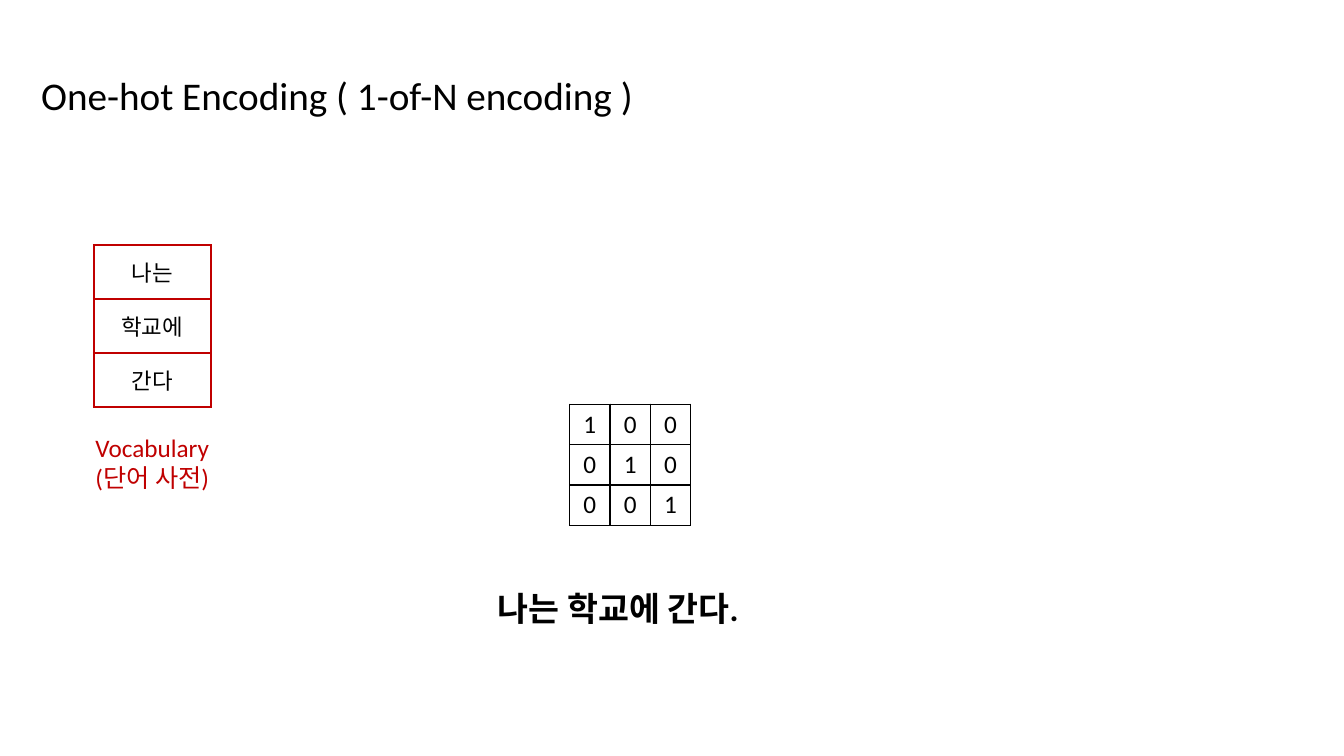
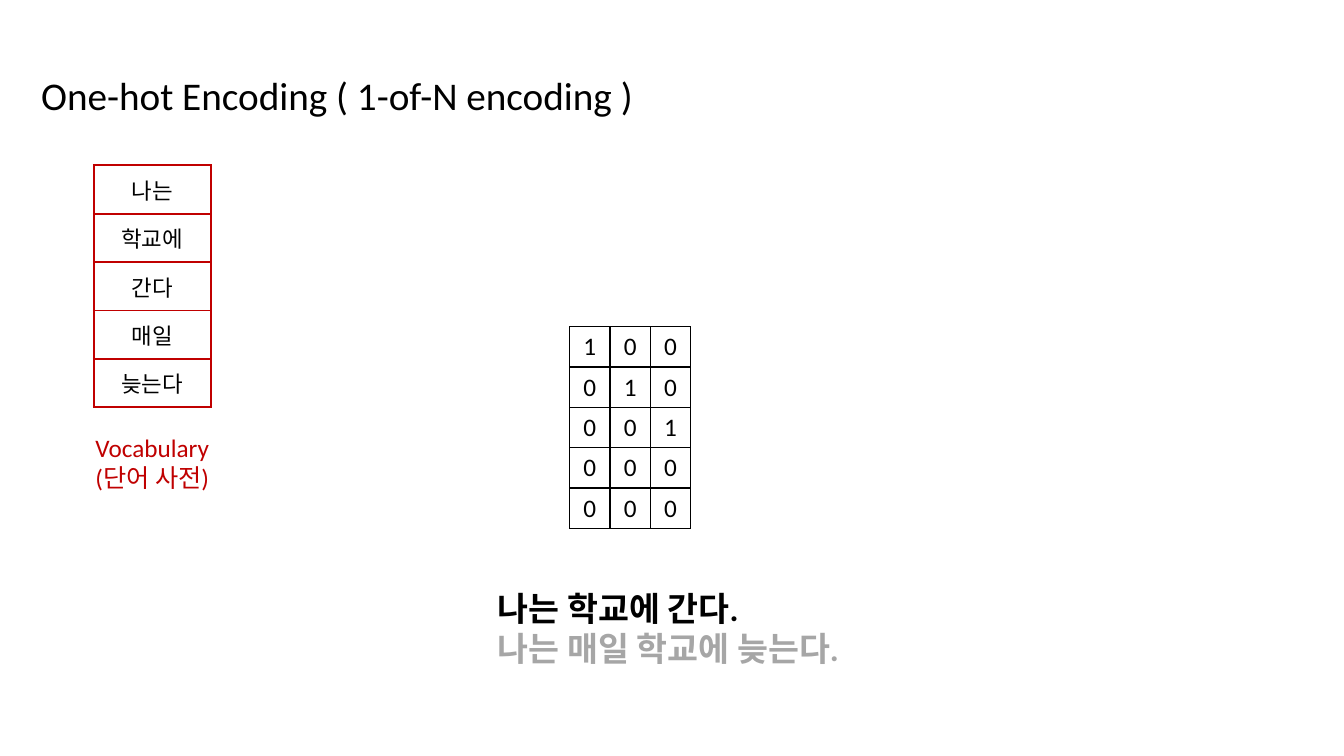
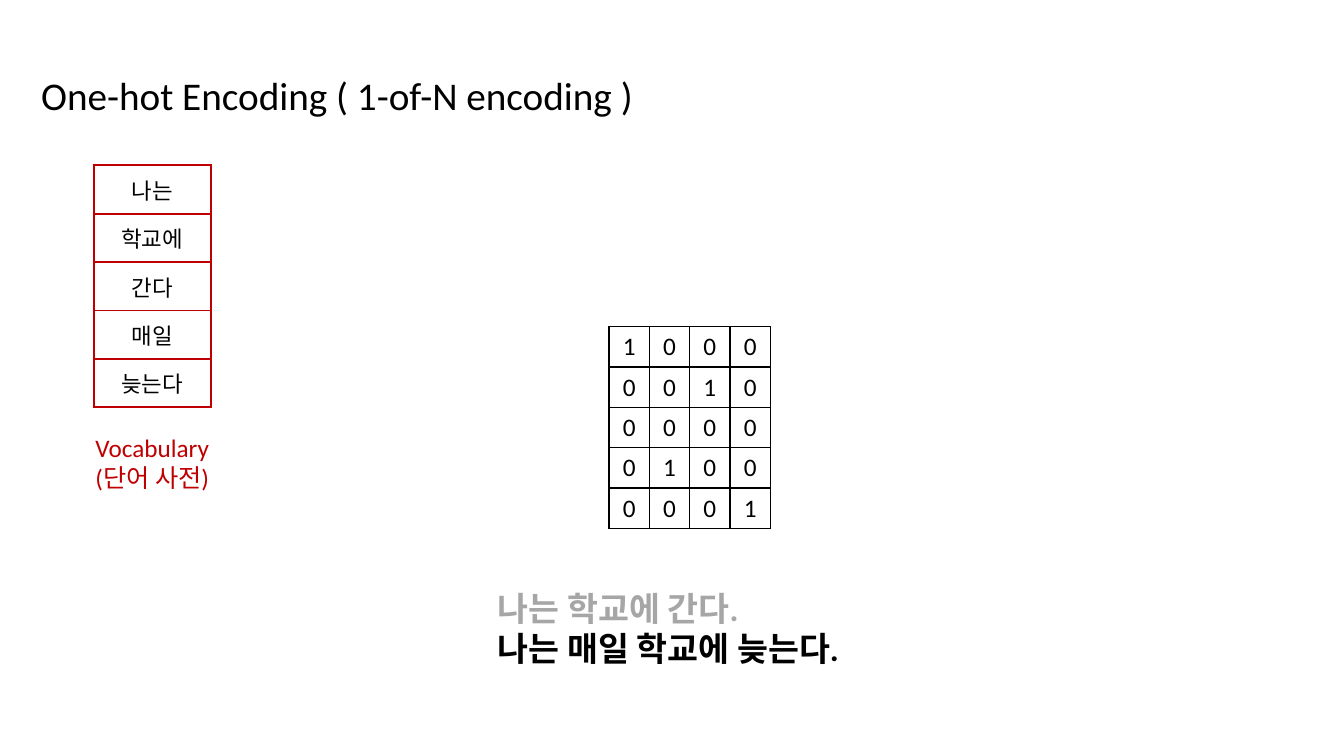
from dataclasses import dataclass

from lxml import etree
from pptx import Presentation
from pptx import util as u
from pptx.dml.color import RGBColor
from pptx.enum import text
from pptx.oxml.ns import qn


@dataclass(frozen=True)
class Theme:
    font: str = "Calibri"
    ink: str = "000000"
    accent: str = "C00000"
    muted: str = "A6A6A6"
    title: int = 28
    sentence: int = 24
    label: int = 18
    word: int = 16


@dataclass(frozen=True)
class Box:
    x: float
    y: float
    w: float
    h: float

    def emu(self):
        return [u.Emu(round(v * CELL)) for v in (self.x, self.y, self.w, self.h)]


T = Theme()
CELL = u.Inches(0.1)
CENTER = text.PP_ALIGN.CENTER
DIGIT = 4
VOCABULARY_BOTTOM = 40.4
TITLE = "One-hot Encoding ( 1-of-N encoding )"
FIRST = ["나는", "학교에", "간다"]
SECOND = ["나는", "매일", "학교에", "늦는다"]
SMALL = FIRST
LARGE = FIRST + ["매일", "늦는다"]


def add_run(p, words, size, color, bold=False):
    r = p.add_run()
    r.text = words
    f = r.font
    f.name, f.size, f.bold = T.font, u.Pt(size), bold
    f.color.rgb = RGBColor.from_string(color)


def add_box(s, box, wrap):
    tf = s.shapes.add_textbox(*box.emu()).text_frame
    tf.word_wrap = wrap
    tf.auto_size = text.MSO_AUTO_SIZE.SHAPE_TO_FIT_TEXT
    return tf


def add_borders(cell, color, width):
    tc_pr = cell._tc.get_or_add_tcPr()
    for i, side in enumerate(("lnL", "lnR", "lnT", "lnB")):
        ln = etree.Element(qn(f"a:{side}"), w=str(u.Pt(width)))
        fill = etree.SubElement(ln, qn("a:solidFill"))
        etree.SubElement(fill, qn("a:srgbClr"), val=color)
        tc_pr.insert(i, ln)


def add_column(s, box, values, size, color, width, anchor):
    table = s.shapes.add_table(len(values), 1, *box.emu()).table
    table.first_row = table.horz_banding = False
    for row, value in zip(table.rows, values):
        cell = row.cells[0]
        cell.fill.background()
        add_borders(cell, color, width)
        cell.vertical_anchor = anchor
        p = cell.text_frame.paragraphs[0]
        p.alignment = CENTER
        add_run(p, value, size, T.ink)


def add_title(s, box):
    add_run(add_box(s, box, False).paragraphs[0], TITLE, T.title, T.ink)


def add_sentences(s, box, sentences, active):
    tf = add_box(s, box, True)
    for i, words in enumerate(sentences):
        p = tf.add_paragraph() if i else tf.paragraphs[0]
        color = T.ink if words == active else T.muted
        add_run(p, " ".join(words) + ".", T.sentence, color, True)


def add_vocabulary(s, box, vocabulary):
    add_column(s, box, vocabulary, T.word, T.accent, 1.5, text.MSO_ANCHOR.MIDDLE)
    label = Box(box.x - 1.3, box.y + box.h + 2, box.w + 2.6, 7.1)
    p = add_box(s, label, True).paragraphs[0]
    p.alignment = CENTER
    add_run(p, "Vocabulary", T.label, T.accent)
    p.add_line_break()
    add_run(p, "(단어 사전)", T.label, T.accent)


def add_vectors(s, x, y, vocabulary, words):
    for i, word in enumerate(words):
        vector = ["1" if entry == word else "0" for entry in vocabulary]
        box = Box(x + i * DIGIT, y, DIGIT, DIGIT * len(vocabulary))
        add_column(s, box, vector, T.label, T.ink, 1, text.MSO_ANCHOR.TOP)


def add_encoding_slide(prs, vocabulary, row, sentences, active, x, y):
    s = prs.slides.add_slide(prs.slide_layouts[6])
    add_title(s, Box(3.1, 6.6, 61.4, 5.7))
    width, height = (27.8, 5) if len(sentences) == 1 else (39, 9.1)
    add_sentences(s, Box(48.4, 57.8, width, height), sentences, active)
    tall = row * len(vocabulary)
    add_vocabulary(s, Box(9.3, VOCABULARY_BOTTOM - tall, 11.6, tall), vocabulary)
    add_vectors(s, x, y, vocabulary, active)


def main():
    prs = Presentation()
    prs.slide_width, prs.slide_height = u.Inches(13.33), u.Inches(7.5)
    add_encoding_slide(prs, SMALL, 5.36, [FIRST], FIRST, 56.5, 40.1)
    for active, x in ((FIRST, 56.5), (SECOND, 60.4)):
        add_encoding_slide(prs, LARGE, 4.8, [FIRST, SECOND], active, x, 32.4)
    prs.save("out.pptx")


if __name__ == "__main__":
    main()
